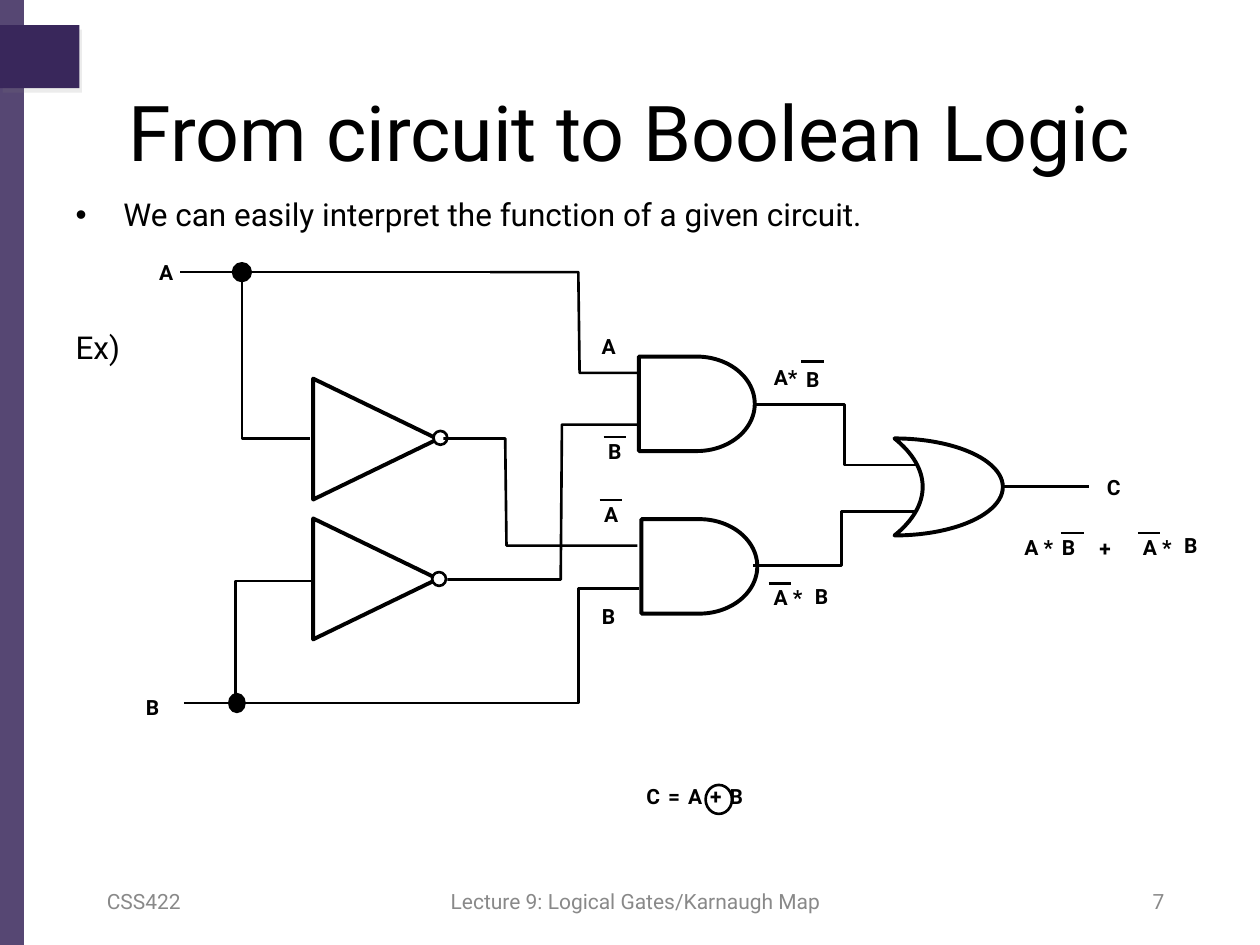
from lxml import etree
from pptx import Presentation
from pptx.dml.color import RGBColor
from pptx.enum.shapes import MSO_CONNECTOR, MSO_SHAPE
from pptx.enum.text import MSO_ANCHOR, MSO_AUTO_SIZE, PP_ALIGN
from pptx.oxml.ns import qn
from pptx.util import Pt

PX = 9144  # 100 px to the inch
RECT, OVAL = MSO_SHAPE.RECTANGLE, MSO_SHAPE.OVAL
NOT, AND, OR = MSO_SHAPE.ISOSCELES_TRIANGLE, MSO_SHAPE.FLOWCHART_DELAY, MSO_SHAPE.MOON
LINE = MSO_CONNECTOR.STRAIGHT
MID, TOP = MSO_ANCHOR.MIDDLE, MSO_ANCHOR.TOP
GROW = MSO_AUTO_SIZE.SHAPE_TO_FIT_TEXT
LEFT, MIDDLE, RIGHT = PP_ALIGN.LEFT, PP_ALIGN.CENTER, PP_ALIGN.RIGHT
HUES = {"ink": "000000", "paper": "FFFFFF", "brand": "39275B",
        "foot": "898989", "shade": "808080"}


def emu(*nums):
    return [n * PX for n in nums]


def hue(name):
    return RGBColor.from_string(HUES[name])


def put(thing, vals):
    for key, val in vals.items():
        setattr(thing, key, val)


class Board:
    font = "Roboto"
    thin, thick = 1.5, 2.25

    def __init__(self, slide):
        self.slide = slide
        self.shapes = slide.shapes

    def words(self, para, text, size, color="ink", bold=False):
        run = para.add_run()
        run.text = text
        put(run.font, {"name": self.font, "size": Pt(size), "bold": bold})
        run.font.color.rgb = hue(color)
        return run

    def hold(self, spot, box, anchor):
        """Move a placeholder and return its text frame."""
        item = self.slide.placeholders[spot]
        put(item, dict(zip(("left", "top", "width", "height"), emu(*box))))
        item.text_frame.vertical_anchor = anchor
        return item.text_frame

    def stroke(self, line, width):
        line.color.rgb = hue("ink")
        line.width = Pt(width)

    def shape(self, kind, box, fill=None, width=None, home=None):
        item = (home or self.shapes).add_shape(kind, *emu(*box))
        item.shadow.inherit = False
        if fill:
            item.fill.solid()
            item.fill.fore_color.rgb = hue(fill)
        else:
            item.fill.background()
        if width:
            self.stroke(item.line, width)
        else:
            item.line.fill.background()
        return item

    def fade(self, item, share):
        color = item._element.spPr.find(".//" + qn("a:srgbClr"))
        etree.SubElement(color, qn("a:alpha"), val=str(share * 1000))

    def shade(self, item):
        effects = item._element.spPr.find(qn("a:effectLst"))
        cast = etree.SubElement(effects, qn("a:outerShdw"), blurRad="0",
                                dist="38100", dir="3600000", rotWithShape="0")
        color = etree.SubElement(cast, qn("a:srgbClr"), val=HUES["shade"])
        etree.SubElement(color, qn("a:alpha"), val="15000")

    def line(self, x1, y1, x2, y2):
        item = self.shapes.add_connector(LINE, *emu(x1, y1, x2, y2))
        self.stroke(item.line, self.thin)
        etree.SubElement(item._element.spPr, qn("a:effectLst"))

    def wire(self, *spots):
        pen = self.shapes.build_freeform(*spots[0], scale=PX)
        pen.add_line_segments(spots[1:], close=False)
        item = pen.convert_to_shape()
        item.shadow.inherit = False
        item.fill.background()
        self.stroke(item.line, self.thin)

    def text(self, text, box, size=12, color="ink", bold=False, align=MIDDLE, wrap=True):
        frame = self.shapes.add_textbox(*emu(*box)).text_frame
        put(frame, {"word_wrap": wrap, "vertical_anchor": MID})
        if not wrap:
            frame.auto_size = GROW
        frame.paragraphs[0].alignment = align
        return self.words(frame.paragraphs[0], text, size, color, bold)

    def label(self, text, x, y, wide=32):
        return self.text(text, (x, y, wide, 30), bold=True, wrap=False)

    def invert(self, y, dot_x, dot_y):
        """A NOT gate: triangle and output bubble."""
        home = self.shapes.add_group_shape().shapes
        self.shape(NOT, (250, y, 96, 99), "paper", self.thick, home).rotation = 90
        self.shape(OVAL, (dot_x, dot_y, 11, 11), "paper", self.thin, home)


def main():
    deck = Presentation()
    deck.slide_width, deck.slide_height = emu(1000, 750)
    board = Board(deck.slides.add_slide(deck.slide_layouts[1]))

    # Side bar and corner block
    board.fade(board.shape(RECT, (0, 0, 19, 750), "brand"), 85)
    board.shade(board.shape(RECT, (0, 20, 63, 50), "brand"))

    # Title and body
    title = board.hold(0, (50, 58, 900, 92), MID).paragraphs[0]
    title.alignment = MIDDLE
    board.words(title, "From circuit to Boolean Logic", 44)
    body = board.hold(1, (50, 150, 894, 332), TOP)
    point, case = body.paragraphs[0], body.add_paragraph()
    board.words(point, "We can easily interpret the function of a given circuit.", 18)
    board.words(case, "Ex)", 18)
    for para, gap, hang in (point, 3.6, 38), (case, 54.5, 0):
        para.space_before = Pt(gap)
        for key, val in {"marL": hang * PX, "indent": -hang * PX}.items():
            para._p.get_or_add_pPr().set(key, str(val))
    etree.SubElement(point._p.pPr, qn("a:buChar"), char="•")
    etree.SubElement(case._p.pPr, qn("a:buNone"))

    # Gates
    board.invert(299, 344, 342)
    board.invert(410, 343, 454)
    for x, y in (507, 283), (509, 412):
        board.shape(AND, (x, y, 92, 75), width=board.thick)
    gate = board.shape(OR, (710, 348, 86, 77), "paper", board.thick)
    gate.adjustments[0] = 0.74
    gate._element.spPr.xfrm.set("flipH", "1")

    # Wires: inputs, inverter outputs, AND outputs, result
    board.line(143, 216, 459, 216)
    board.line(146, 558, 455, 558)
    board.wire((192, 216), (192, 348), (246, 348))
    board.wire((187, 560), (187, 461), (248, 461))
    board.wire((389, 216), (459, 216), (460, 296), (507, 296))
    board.wire((388, 558), (459, 558), (459, 467), (507, 467))
    board.wire((355, 460), (445, 460), (446, 337), (507, 337))
    board.wire((352, 348), (401, 348), (402, 433), (506, 433))
    board.wire((600, 321), (670, 321), (670, 369), (729, 369))
    board.wire((598, 449), (668, 449), (668, 406), (727, 406))
    board.line(796, 386, 864, 386)

    # Junctions, and the ring around the plus sign
    board.shape(OVAL, (185, 209, 14, 14), "ink", board.thin)
    board.shape(OVAL, (182, 551, 12, 14), "ink", board.thin)
    board.shape(OVAL, (560, 623, 21, 23), "paper", board.thin)

    # Signal names
    for text, x, y in (("A", 116, 201), ("B", 105, 546), ("A", 469, 393),
                       ("B", 472, 343), ("A", 467, 260), ("B", 467, 474),
                       ("B", 629, 286), ("B", 636, 458), ("C", 868, 372),
                       ("B", 832, 419), ("+", 861, 420), ("B", 929, 418)):
        board.label(text, x, y)
    board.label("A*", 604, 284, 39)
    for x, y in (604, 459), (803, 419), (897, 419):
        board.label("A *", x, y, 43)
    result = board.label("C = A + B", 500, 617, 103)
    result.font._element.set("spc", "80")

    # Negation bars
    for x, y in ((476, 397), (479, 347), (636, 287), (610, 463), (842, 423), (903, 423)):
        board.line(x, y, x + 18, y)

    # Footer
    for text, x, wide, align in (("CSS422", 75, 233, LEFT),
                                 ("Lecture 9: Logical Gates/Karnaugh Map", 346, 317, MIDDLE),
                                 ("7", 701, 233, RIGHT)):
        board.text(text, (x, 695, wide, 40), color="foot", align=align)

    deck.save("out.pptx")


if __name__ == "__main__":
    main()
